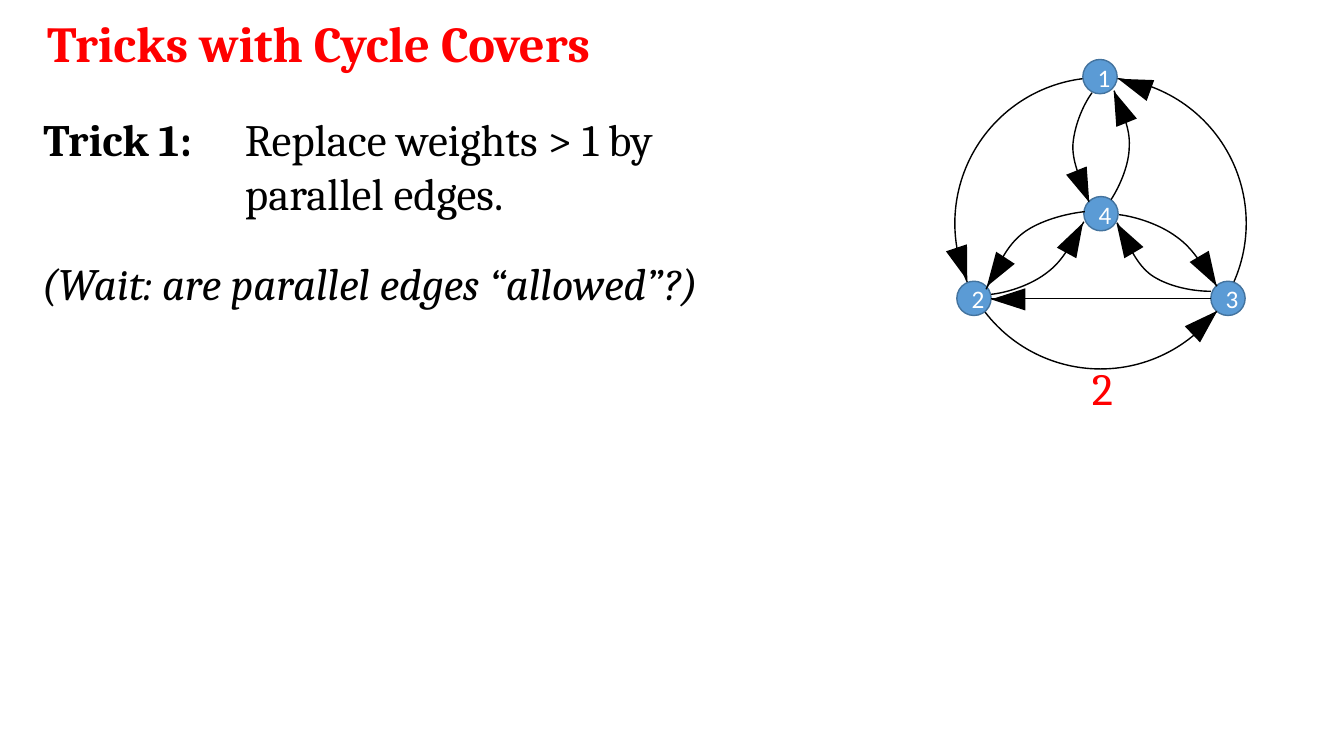
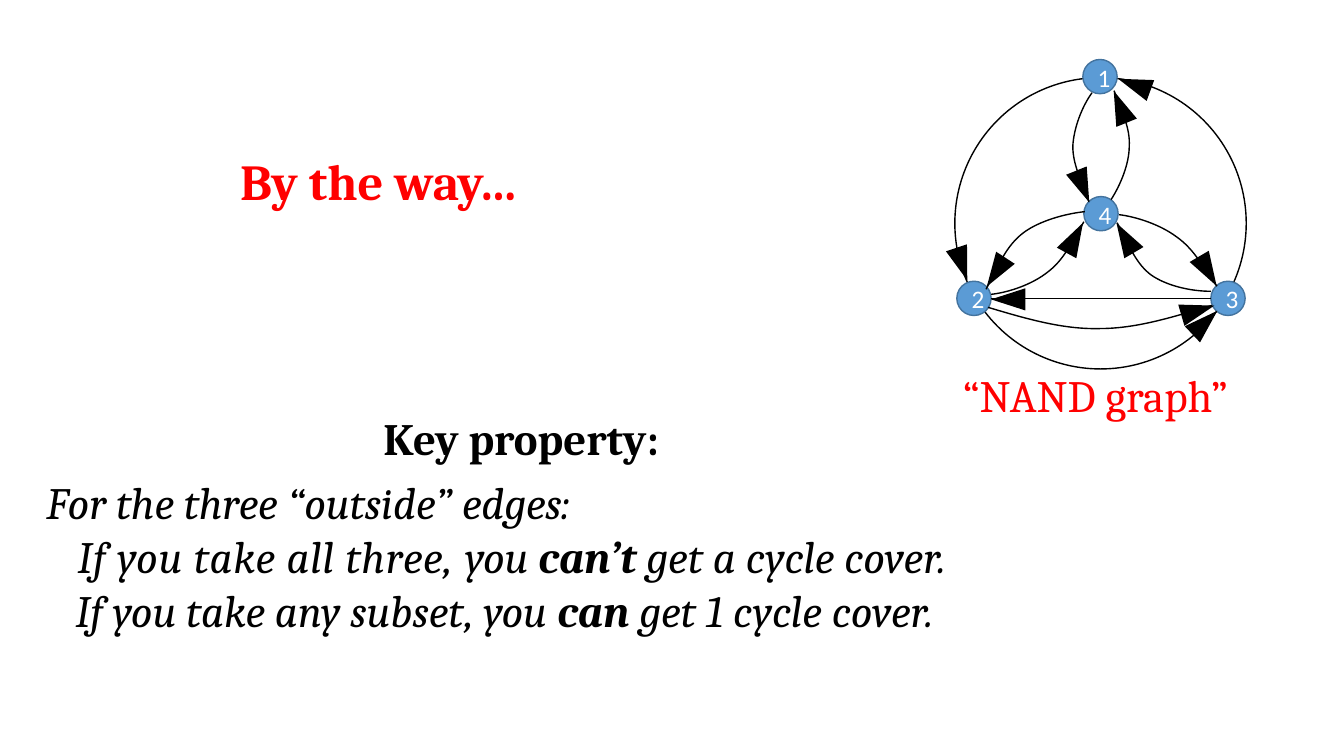
from dataclasses import dataclass
from typing import NamedTuple

from lxml.etree import SubElement
from pptx import Presentation
from pptx.dml.color import RGBColor as Rgb
from pptx.enum.shapes import MSO_CONNECTOR as Link, MSO_SHAPE as Kind
from pptx.enum.text import MSO_ANCHOR as Anchor, MSO_AUTO_SIZE as Fit, PP_ALIGN as Align
from pptx.oxml.ns import qn
from pptx.util import Emu, Pt

PX = 9144  # EMU per px, 100 px to the inch


@dataclass(frozen=True)
class Theme:
    serif: str = "Cambria"
    sans: str = "Calibri"
    red: Rgb = Rgb(255, 0, 0)
    black: Rgb = Rgb(0, 0, 0)
    white: Rgb = Rgb(255, 255, 255)
    blue: Rgb = Rgb(0x5B, 0x9B, 0xD5)
    rim: Rgb = Rgb(0x43, 0x73, 0x9E)
    title: int = 36
    body: int = 32
    node: int = 18


THEME = Theme()


class Box(NamedTuple):
    x: int
    y: int
    w: int
    h: int


class Node(NamedTuple):
    name: str
    x: int
    y: int


class Head(NamedTuple):
    x: int
    y: int
    turn: float


class Arc(NamedTuple):
    """A curve of cubic pieces: a start, then three points per piece."""
    points: tuple[tuple[int, int], ...]
    head: Head


class Run(NamedTuple):
    text: str
    bold: bool = False
    track: int = 0


@dataclass(frozen=True)
class Para:
    runs: tuple[Run, ...]
    italic: bool = False
    left: int = 0
    hang: int = 0


RING = Box(947, 77, 289, 289)
SIDE = 34
TIP = (22, 34)
NODES = (Node("1", 1074, 59), Node("3", 1201, 279),
         Node("4", 1075, 195), Node("2", 949, 279))
RIM_HEADS = (Head(943, 245, 161.6), Head(1114, 67, 290), Head(1184, 303, 46.7))
BASE = ((1201, 296), (983, 296))
BASE_HEAD = Head(989, 280, 270)
ARCS = (
    Arc(((1083, 92), (1073, 106), (1065, 127), (1064, 145),
         (1064, 163), (1072, 178), (1080, 200)), Head(1063, 168, 158)),
    Arc(((1102, 198), (1111, 184), (1120, 163), (1120, 145),
         (1121, 127), (1113, 112), (1105, 90)), Head(1100, 89, 338)),
    Arc(((1076, 210), (1057, 212), (1031, 219), (1015, 231),
         (998, 244), (991, 262), (978, 287)), Head(977, 253, 213)),
    Arc(((983, 292), (1001, 290), (1024, 282), (1039, 270),
         (1055, 258), (1062, 242), (1075, 220)), Head(1055, 219, 28.6)),
    Arc(((1201, 289), (1182, 289), (1158, 284), (1142, 273),
         (1127, 262), (1120, 244), (1108, 221)), Head(1105, 219, 329.6)),
    Arc(((1110, 213), (1127, 215), (1151, 223), (1167, 235),
         (1184, 247), (1192, 263), (1207, 284)), Head(1187, 252, 149.6)),
)
TWIN = Arc(((980, 305), (1017, 316), (1054, 327), (1091, 326),
            (1128, 326), (1165, 314), (1202, 303)), Head(1177, 291, 73.8))


def px(*sizes: int) -> list[Emu]:
    return [Emu(size * PX) for size in sizes]


def style(font, name: str, size: int, color: Rgb) -> None:
    font.name, font.size = name, Pt(size)
    font.color.rgb = color


def ink(shape, fill: Rgb | None, line: Rgb | None) -> None:
    """Set a flat fill and a 1 pt outline; None leaves either out."""
    shape.shadow.inherit = False
    if fill is None:
        shape.fill.background()
    else:
        shape.fill.solid()
        shape.fill.fore_color.rgb = fill
    if line is None:
        shape.line.fill.background()
    else:
        shape.line.color.rgb, shape.line.width = line, Pt(1)


def add_head(shapes, head: Head) -> None:
    tip = shapes.add_shape(Kind.ISOSCELES_TRIANGLE, *px(head.x, head.y, *TIP))
    tip.rotation = head.turn
    ink(tip, THEME.black, None)


def bend(shape) -> None:
    """Turn each three straight segments into one cubic piece."""
    legs = list(shape._element.iter(qn("a:lnTo")))
    for i in range(0, len(legs), 3):
        curve = legs[i].getparent().makeelement(qn("a:cubicBezTo"))
        legs[i].addprevious(curve)
        for leg in legs[i:i + 3]:
            curve.append(leg[0])
            leg.getparent().remove(leg)


def add_arc(shapes, arc: Arc) -> None:
    pen = shapes.build_freeform(*arc.points[0], scale=PX)
    pen.add_line_segments(arc.points[1:], close=False)
    curve = pen.convert_to_shape()
    bend(curve)
    ink(curve, None, THEME.black)
    add_head(shapes, arc.head)


def add_node(shapes, node: Node) -> None:
    dot = shapes.add_shape(Kind.OVAL, *px(node.x, node.y, SIDE, SIDE))
    ink(dot, THEME.blue, THEME.rim)
    frame = dot.text_frame
    frame.word_wrap = False
    frame.vertical_anchor = Anchor.MIDDLE
    frame.margin_left, frame.margin_top, frame.margin_right, frame.margin_bottom = px(8, 1, 0, 0)
    para = frame.paragraphs[0]
    para.text, para.alignment = node.name, Align.CENTER
    style(para.font, THEME.sans, THEME.node, THEME.white)


def add_graph(slide, arcs: tuple[Arc, ...]) -> None:
    shapes = slide.shapes.add_group_shape().shapes
    ink(shapes.add_shape(Kind.OVAL, *px(*RING)), None, THEME.black)
    for node in NODES:
        add_node(shapes, node)
    base = shapes.add_connector(Link.STRAIGHT, *px(*BASE[0], *BASE[1]))
    base.line.color.rgb, base.line.width = THEME.black, Pt(1)
    SubElement(base._element.spPr, qn("a:effectLst"))
    for head in (*RIM_HEADS, BASE_HEAD):
        add_head(shapes, head)
    for arc in arcs:
        add_arc(shapes, arc)


def place(shape, box: Box) -> None:
    shape.left, shape.top, shape.width, shape.height = px(*box)


def set_title(slide, text: str, box: Box) -> None:
    title = slide.shapes.title
    place(title, box)
    title.text_frame.auto_size = Fit.NONE
    para = title.text_frame.paragraphs[0]
    para.text, para.alignment = text, Align.CENTER
    style(para.font, THEME.serif, THEME.title, THEME.red)
    para.font.bold = True


def add_run(para, run: Run) -> None:
    for i, line in enumerate(run.text.split("\n")):
        if i:
            para.add_line_break()
        part = para.add_run()
        part.text = line
        if run.bold:
            part.font.bold = True
        if run.track:
            part._r.get_or_add_rPr().set("spc", str(run.track))


def set_body(slide, box: Box, paras: tuple[Para, ...]) -> None:
    body = slide.placeholders[1]
    place(body, box)
    frame = body.text_frame
    frame.auto_size, frame.vertical_anchor = Fit.NONE, Anchor.TOP
    for i, item in enumerate(paras):
        para = frame.add_paragraph() if i else frame.paragraphs[0]
        para.alignment, para.space_before = Align.LEFT, Pt(0)
        props = para._p.get_or_add_pPr()
        props.set("marL", str(item.left * PX))
        props.set("indent", str(-item.hang * PX))
        SubElement(props, qn("a:buNone"))
        style(para.font, THEME.serif, THEME.body, THEME.black)
        para.font.italic = item.italic
        for run in item.runs:
            add_run(para, run)


def add_label(slide, text: str, box: Box, color: Rgb,
              bold: bool = False, italic: bool = False) -> None:
    frame = slide.shapes.add_textbox(*px(*box)).text_frame
    frame.word_wrap = True
    para = frame.paragraphs[0]
    para.text, para.alignment = text, Align.CENTER
    style(para.font, THEME.serif, THEME.body, color)
    para.font.bold, para.font.italic = bold, italic


def draw_tricks(slide) -> None:
    set_title(slide, "Tricks with Cycle Covers", Box(0, 7, 632, 71))
    add_graph(slide, ARCS)
    add_label(slide, "2", Box(1071, 353, 45, 64), THEME.red)
    set_body(slide, Box(33, 106, 667, 118), (
        Para((Run("Trick 1:", True), Run("\tReplace weights > 1 by\nparallel edges.")),
             left=200, hang=200),
    ))
    add_label(slide, "(Wait: are parallel edges “allowed”?)", Box(12, 249, 710, 64),
              THEME.black, italic=True)


def draw_key(slide) -> None:
    set_title(slide, "By the way…", Box(0, 143, 752, 71))
    add_label(slide, "Key property:", Box(365, 403, 304, 64), THEME.black, bold=True)
    set_body(slide, Box(36, 466, 961, 172), (
        Para((Run("For the three “outside” edges:"),), italic=True),
        Para((Run("If you take all three, ", track=60), Run("you "), Run("can’t ", True),
              Run("get a cycle cover.")), italic=True, left=31),
        Para((Run("If you take any subset, you "), Run("can", True),
              Run(" get 1 cycle cover.")), italic=True, left=29),
    ))
    add_graph(slide, (*ARCS, TWIN))
    add_label(slide, "“NAND graph”", Box(940, 360, 293, 64), THEME.red)


def main() -> None:
    deck = Presentation()
    deck.slide_width, deck.slide_height = px(1333, 750)
    for draw in (draw_tricks, draw_key):
        draw(deck.slides.add_slide(deck.slide_layouts[1]))
    deck.save("out.pptx")


if __name__ == "__main__":
    main()
